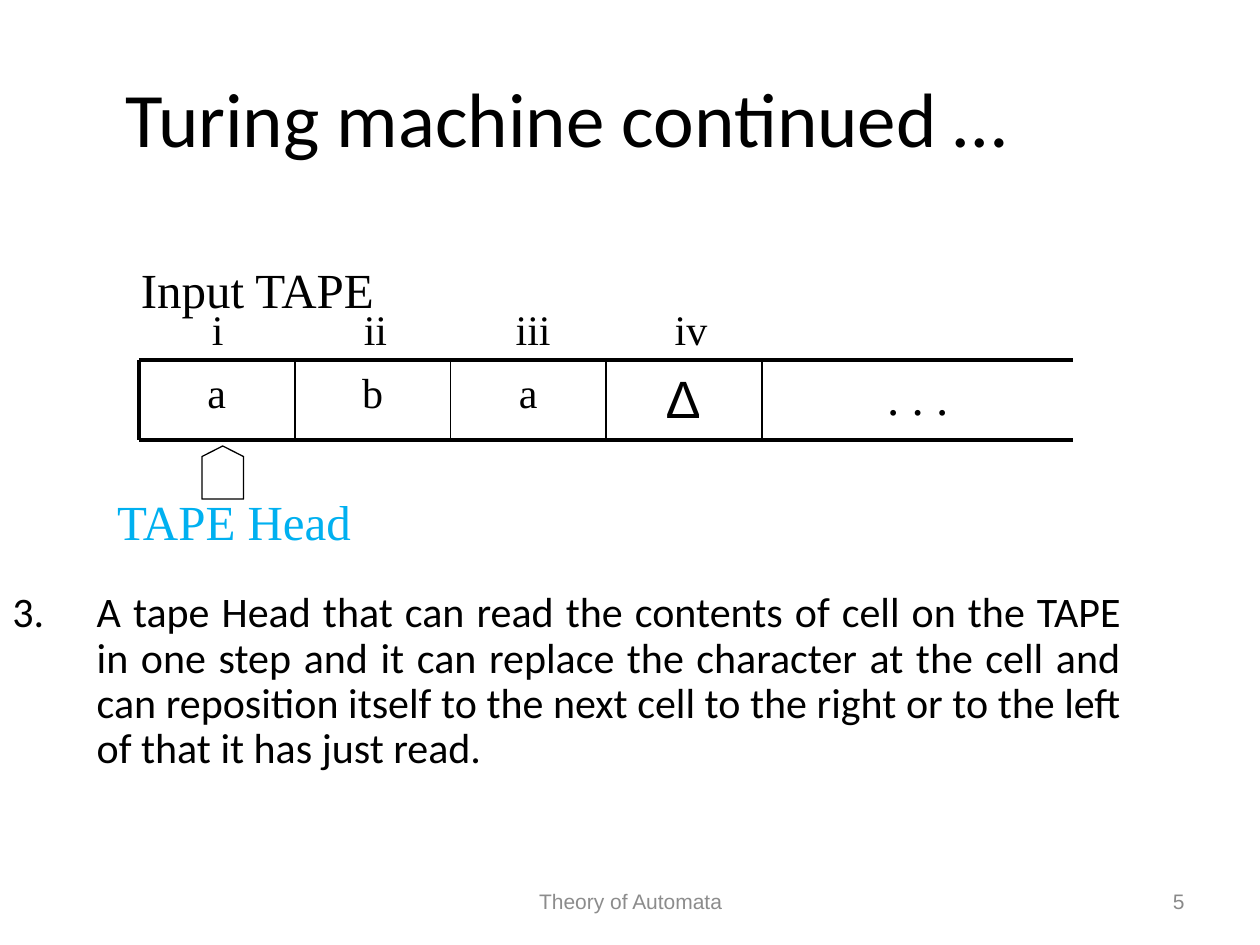
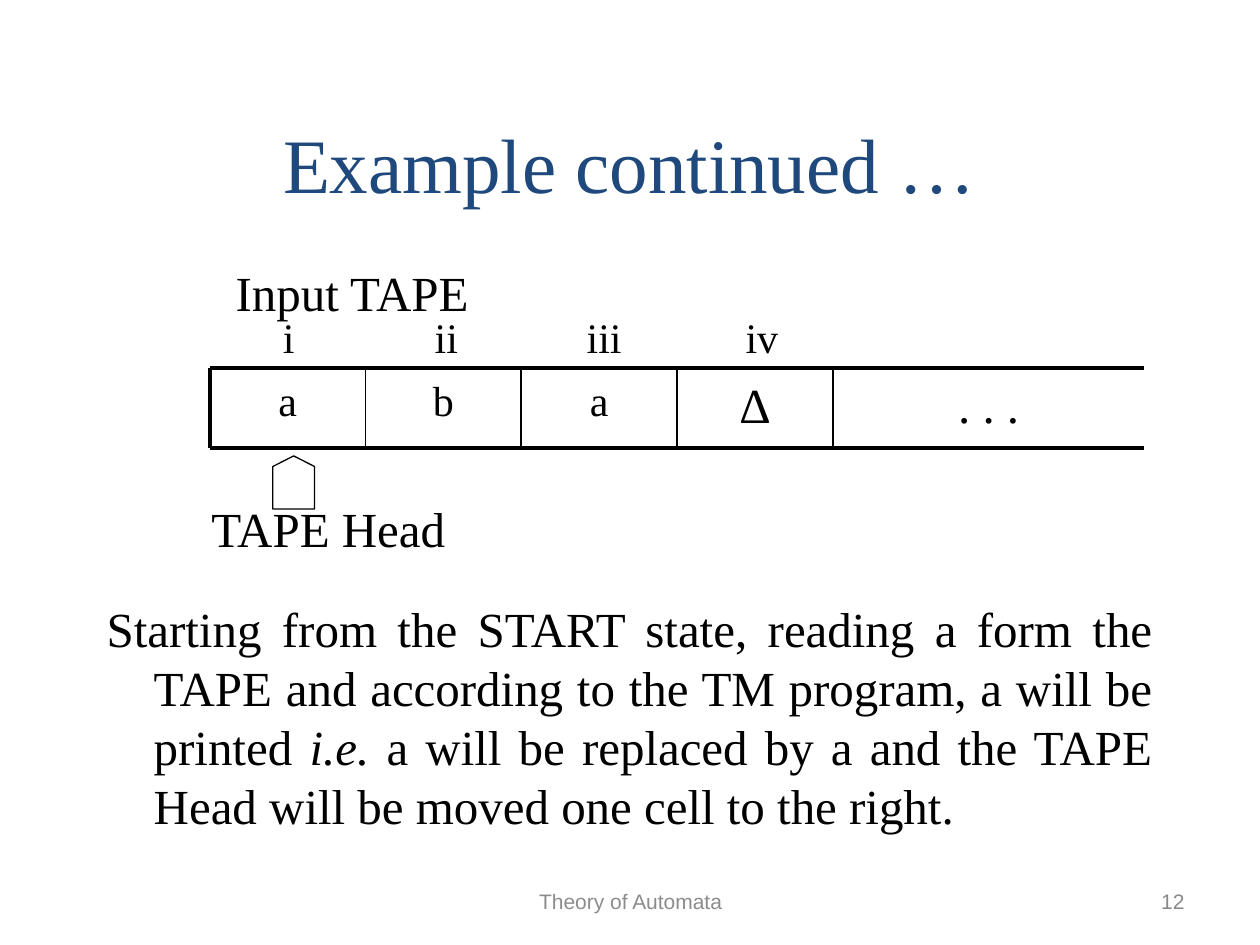
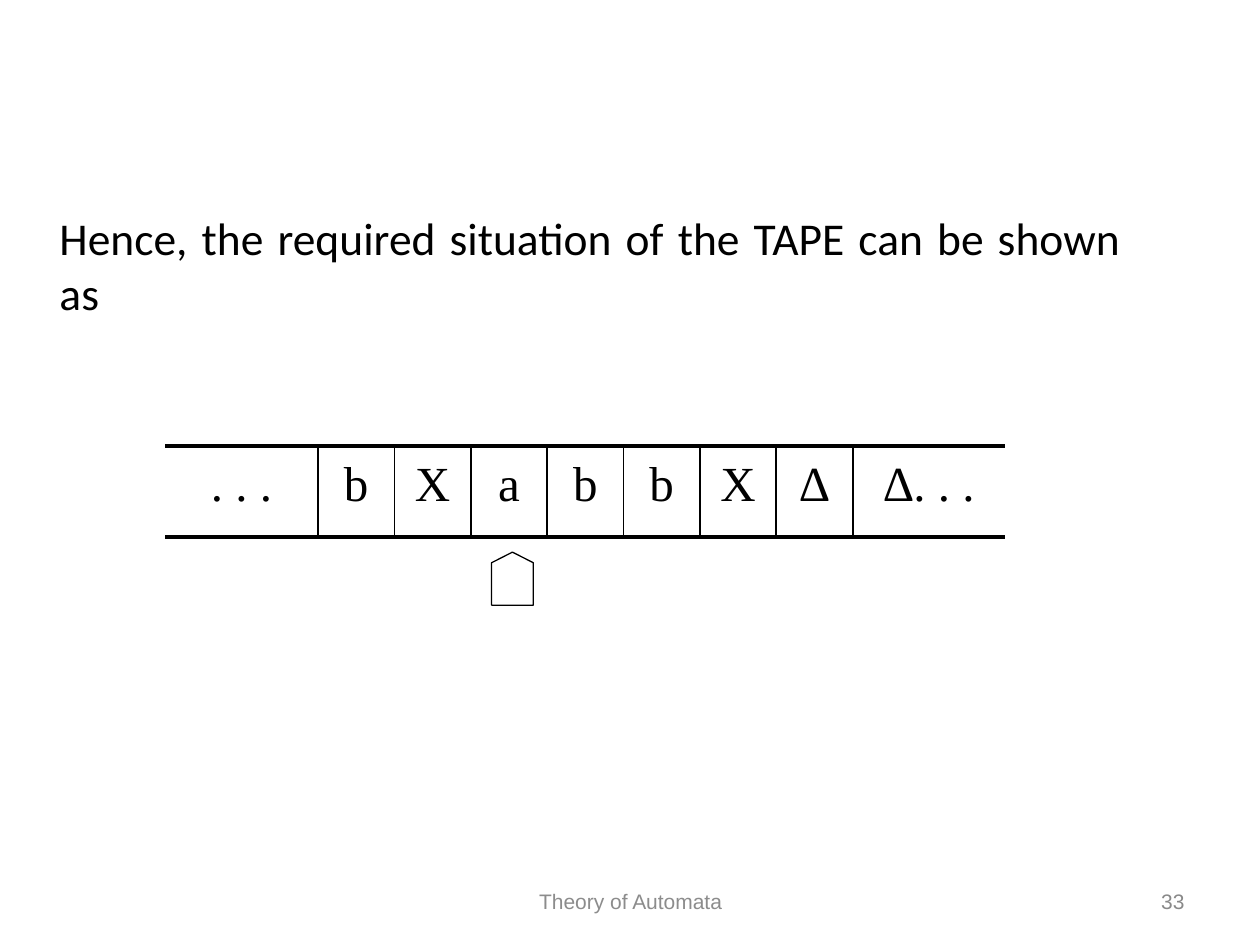
from dataclasses import dataclass
from itertools import accumulate

from lxml import etree
from pptx import Presentation
from pptx.dml.color import RGBColor
from pptx.enum.shapes import MSO_CONNECTOR, MSO_SHAPE
from pptx.enum.text import MSO_ANCHOR, PP_ALIGN
from pptx.oxml.ns import qn
from pptx.util import Cm, Pt

LEFT, CENTER, RIGHT, JUSTIFY = PP_ALIGN.LEFT, PP_ALIGN.CENTER, PP_ALIGN.RIGHT, PP_ALIGN.JUSTIFY
TOP, MIDDLE = MSO_ANCHOR.TOP, MSO_ANCHOR.MIDDLE
STRAIGHT = MSO_CONNECTOR.STRAIGHT
HEAD_SHAPE = MSO_SHAPE.FLOWCHART_OFFPAGE_CONNECTOR

COLORS = {
    "ink": "000000",
    "title": "1F497D",
    "accent": "00B0F0",
    "footer": "8C8C8C",
    "number": "898989",
}
SERIF, SANS, PLAIN = "Times New Roman", "Calibri", "Arial"
FOOTER = "Theory of Automata"
RAIL, DIVIDER, OUTLINE = 2.25, 1, 0.75


@dataclass(frozen=True)
class Box:
    """A frame in centimetres."""
    left: float
    top: float
    width: float
    height: float


@dataclass(frozen=True)
class Style:
    size: float
    font: str = SERIF
    color: str = "ink"
    align: PP_ALIGN = CENTER
    anchor: MSO_ANCHOR = TOP
    line_spacing: float = 1.0
    margin: float = 0
    indent: float = 0
    first_number: int = 0


@dataclass(frozen=True)
class Run:
    text: str
    italic: bool = False


@dataclass(frozen=True)
class Cell:
    symbol: str
    size: float = 24
    span: int = 1
    font: str = SERIF


@dataclass(frozen=True)
class Tape:
    left: float
    top: float
    unit: float
    height: float
    cells: tuple[Cell, ...]
    head_left: float
    head_top: float
    closed: bool = True
    indices: tuple[str, ...] = ()


@dataclass(frozen=True)
class Label:
    box: Box
    style: Style
    runs: tuple[Run, ...]


@dataclass(frozen=True)
class Page:
    number: int
    tape: Tape
    labels: tuple[Label, ...]


def rgb(color: str) -> RGBColor:
    return RGBColor.from_string(COLORS[color])


def add_text(slide, box: Box, style: Style, *runs: Run) -> None:
    frame = slide.shapes.add_textbox(
        Cm(box.left), Cm(box.top), Cm(box.width), Cm(box.height)).text_frame
    for name, value in {"word_wrap": True, "vertical_anchor": style.anchor}.items():
        setattr(frame, name, value)
    paragraph = frame.paragraphs[0]
    properties = paragraph._p.get_or_add_pPr()
    properties.set("marL", str(Cm(style.margin)))
    properties.set("indent", str(Cm(style.indent)))
    if style.first_number:
        etree.SubElement(properties, qn("a:buFont"), typeface="+mj-lt")
        etree.SubElement(properties, qn("a:buAutoNum"), type="arabicPeriod",
                         startAt=str(style.first_number))
    for name, value in {"alignment": style.align, "line_spacing": style.line_spacing}.items():
        setattr(paragraph, name, value)
    for part in runs:
        run = paragraph.add_run()
        run.text = part.text
        run.font.color.rgb = rgb(style.color)
        formats = {"name": style.font, "size": Pt(style.size), "italic": part.italic}
        for name, value in formats.items():
            setattr(run.font, name, value)


def add_line(slide, x1: float, y1: float, x2: float, y2: float, weight: float) -> None:
    line = slide.shapes.add_connector(STRAIGHT, Cm(x1), Cm(y1), Cm(x2), Cm(y2))
    line.line.color.rgb = rgb("ink")
    line.line.width = Pt(weight)
    etree.SubElement(line._element.spPr, qn("a:effectLst"))


def add_head(slide, left: float, top: float) -> None:
    head = slide.shapes.add_shape(HEAD_SHAPE, Cm(left), Cm(top), Cm(0.84), Cm(1.07))
    head.rotation = 180
    head.shadow.inherit = False
    head.fill.background()
    head.line.color.rgb = rgb("ink")
    head.line.width = Pt(OUTLINE)


def add_tape(slide, tape: Tape) -> None:
    """Draw the cells between two rails, with indices above and the head below."""
    widths = [cell.span * tape.unit for cell in tape.cells]
    edges = list(accumulate(widths, initial=tape.left))
    bottom = tape.top + tape.height
    for cell, left, width in zip(tape.cells, edges, widths):
        add_text(slide, Box(left, tape.top, width, tape.height),
                 Style(cell.size, cell.font), Run(cell.symbol))
    for rail in (tape.top, bottom):
        add_line(slide, edges[0], rail, edges[-1], rail, RAIL)
    if tape.closed:
        add_line(slide, edges[0], tape.top, edges[0], bottom, RAIL)
    for edge in edges[1:-1]:
        add_line(slide, edge, tape.top, edge, bottom, DIVIDER)
    index_pitch = 3.18
    for place, index in enumerate(tape.indices):
        add_text(slide, Box(tape.left + place * index_pitch, tape.top - 1.27, index_pitch, 1.45),
                 Style(24), Run(index))
    add_head(slide, tape.head_left, tape.head_top)


def input_tape(left: float, top: float, blank: Cell, head_top: float) -> Tape:
    cells = (Cell("a"), Cell("b"), Cell("a"), blank, Cell(". . .", 28, 2))
    return Tape(left, top, 3.14, 1.61, cells, left + 1.27, head_top,
                indices=("i", "ii", "iii", "iv"))


def caption(left: float, top: float, text: str, color: str = "ink") -> Label:
    return Label(Box(left, top, 5.92, 1.45), Style(28, color=color, align=LEFT), (Run(text),))


def add_page(deck, page: Page) -> None:
    slide = deck.slides.add_slide(deck.slide_layouts[6])
    for label in page.labels:
        add_text(slide, label.box, label.style, *label.runs)
    add_tape(slide, page.tape)
    add_text(slide, Box(8.69, 17.65, 8.05, 1.02),
             Style(12, PLAIN, "footer", anchor=MIDDLE), Run(FOOTER))
    add_text(slide, Box(18.21, 17.65, 5.92, 1.02),
             Style(12, PLAIN, "number", RIGHT, MIDDLE), Run(str(page.number)))


PAGES = (
    Page(5, input_tape(2.8, 7.26, Cell("∆", 30, font=PLAIN), 8.99), (
        Label(Box(0, 0.76, 22.86, 3.18), Style(44, SANS, anchor=MIDDLE),
              (Run("Turing machine continued …"),)),
        Label(Box(0, 11.8, 22.86, 4.8),
              Style(24, SANS, align=JUSTIFY, line_spacing=0.9,
                    margin=1.7, indent=-1.7, first_number=3),
              (Run("A tape Head that can read the contents of cell on the TAPE in one step "
                   "and it can replace the character at the cell and can reposition itself to "
                   "the next cell to the right or to the left of that it has just read."),)),
        caption(2.11, 9.78, "TAPE Head", "accent"),
        caption(2.59, 5.11, "Input TAPE"),
    )),
    Page(12, input_tape(4.23, 7.42, Cell("∆", 28), 9.19), (
        Label(Box(1.9, 1.7, 21.59, 3.18), Style(44, color="title", anchor=MIDDLE),
              (Run("Example continued …"),)),
        Label(Box(1.9, 11.95, 21.59, 5),
              Style(28, align=JUSTIFY, margin=0.95, indent=-0.95),
              (Run("Starting from the START state, reading a form the TAPE and according to "
                   "the TM program, a will be printed "),
               Run("i.e.", italic=True),
               Run(" a will be replaced by a and the TAPE Head will be moved one cell "
                   "to the right."))),
        caption(4.01, 9.93, "TAPE Head"),
        caption(4.5, 5.16, "Input TAPE"),
    )),
    Page(33, Tape(3.33, 8.99, 1.54, 1.83,
                  (Cell(". . .", 28, 2), *(Cell(symbol, 28) for symbol in "bXabbX∆"),
                   Cell("∆. . .", 28, 2)),
                  9.91, 11.13, closed=False), (
        Label(Box(0, 4.11, 22.86, 12.57), Style(26, SANS, align=JUSTIFY, margin=0.95),
              (Run("Hence, the required situation of the TAPE can be shown as"),)),
    )),
)


def main() -> None:
    deck = Presentation()
    deck.slide_width, deck.slide_height = Cm(25.4), Cm(19.05)
    for page in PAGES:
        add_page(deck, page)
    deck.save("out.pptx")


if __name__ == "__main__":
    main()
